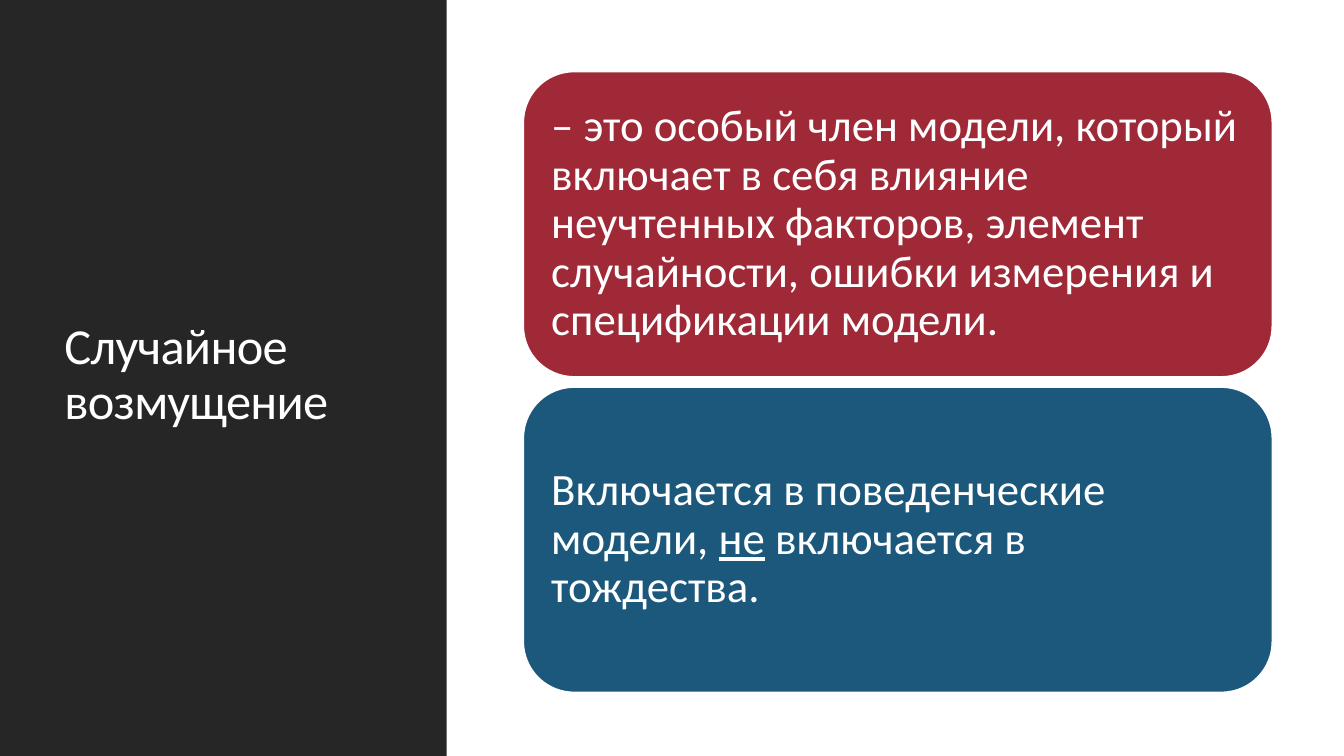
from dataclasses import dataclass

from pptx import Presentation
from pptx.dml.color import RGBColor
from pptx.enum.shapes import MSO_SHAPE
from pptx.enum.text import MSO_ANCHOR, PP_ALIGN
from pptx.util import Emu, Pt

RECTANGLE = MSO_SHAPE.RECTANGLE
ROUNDED = MSO_SHAPE.ROUNDED_RECTANGLE
MIDDLE = MSO_ANCHOR.MIDDLE
LEFT = PP_ALIGN.LEFT
BLANK_LAYOUT = 6
EMU_PER_PX = 9144  # 100 px to the inch


def px(length):
    return Emu(length * EMU_PER_PX)


@dataclass(frozen=True)
class Theme:
    font: str = "Calibri"
    white: str = "FFFFFF"
    dark: str = "262626"
    red: str = "9F2936"
    blue: str = "1B587C"
    title_size: int = 36
    body_size: int = 32
    outline: float = 1.25
    line_spacing: float = 0.9


class SlideBuilder:
    def __init__(self, slide, theme):
        self.slide = slide
        self.theme = theme

    def add_text(self, shape, *parts, size, inset=10, tracking=None):
        """Fill a shape with one paragraph; each part is (text, underlined)."""
        frame = shape.text_frame
        frame.word_wrap = True
        frame.vertical_anchor = MIDDLE
        frame.margin_left = frame.margin_right = px(inset)
        frame.margin_top = frame.margin_bottom = px(inset)
        paragraph = frame.paragraphs[0]
        paragraph.line_spacing = self.theme.line_spacing
        paragraph.alignment = LEFT
        for text, underlined in parts:
            run = paragraph.add_run()
            run.text = text
            run.font.name = self.theme.font
            run.font.size = Pt(size)
            run.font.color.rgb = RGBColor.from_string(self.theme.white)
            if underlined:
                run.font.underline = True
            if tracking is not None:
                run._r.get_or_add_rPr().set("spc", str(tracking))

    def box(self, kind, left, top, width, height, fill, outlined=False):
        shape = self.slide.shapes.add_shape(
            kind, px(left), px(top), px(width), px(height))
        shape.shadow.inherit = False
        shape.fill.solid()
        shape.fill.fore_color.rgb = RGBColor.from_string(fill)
        if outlined:
            shape.line.color.rgb = RGBColor.from_string(self.theme.white)
            shape.line.width = Pt(self.theme.outline)
        else:
            shape.line.fill.background()
        return shape

    def title(self, text, left, top, width, height):
        shape = self.slide.shapes.add_textbox(
            px(left), px(top), px(width), px(height))
        self.add_text(shape, (text, False), size=self.theme.title_size, tracking=-50)

    def card(self, parts, left, top, width, height, fill):
        shape = self.box(ROUNDED, left, top, width, height, fill, outlined=True)
        self.add_text(shape, *parts, size=self.theme.body_size, inset=13)


def main():
    presentation = Presentation()
    presentation.slide_width, presentation.slide_height = px(1333), px(750)
    theme = Theme()
    slide = presentation.slides.add_slide(presentation.slide_layouts[BLANK_LAYOUT])
    builder = SlideBuilder(slide, theme)

    # Dark side panel with the title
    builder.box(RECTANGLE, 0, 0, 443, 750, theme.dark)
    builder.title("Случайное возмущение", 54, 57, 337, 631)

    # Stacked cards
    definition = [
        ("– это особый член модели, который включает в себя влияние "
         "неучтенных факторов, элемент случайности, ошибки измерения и "
         "спецификации модели.", False),
    ]
    usage = [
        ("Включается в поведенческие модели, ", False),
        ("не", True),
        (" включается в тождества.", False),
    ]
    card_height, gap = 303, 10
    cards = [(definition, theme.red), (usage, theme.blue)]
    for index, (parts, fill) in enumerate(cards):
        top = 71 + index * (card_height + gap)
        builder.card(parts, 519, top, 743, card_height, fill)

    presentation.save("out.pptx")


if __name__ == "__main__":
    main()
